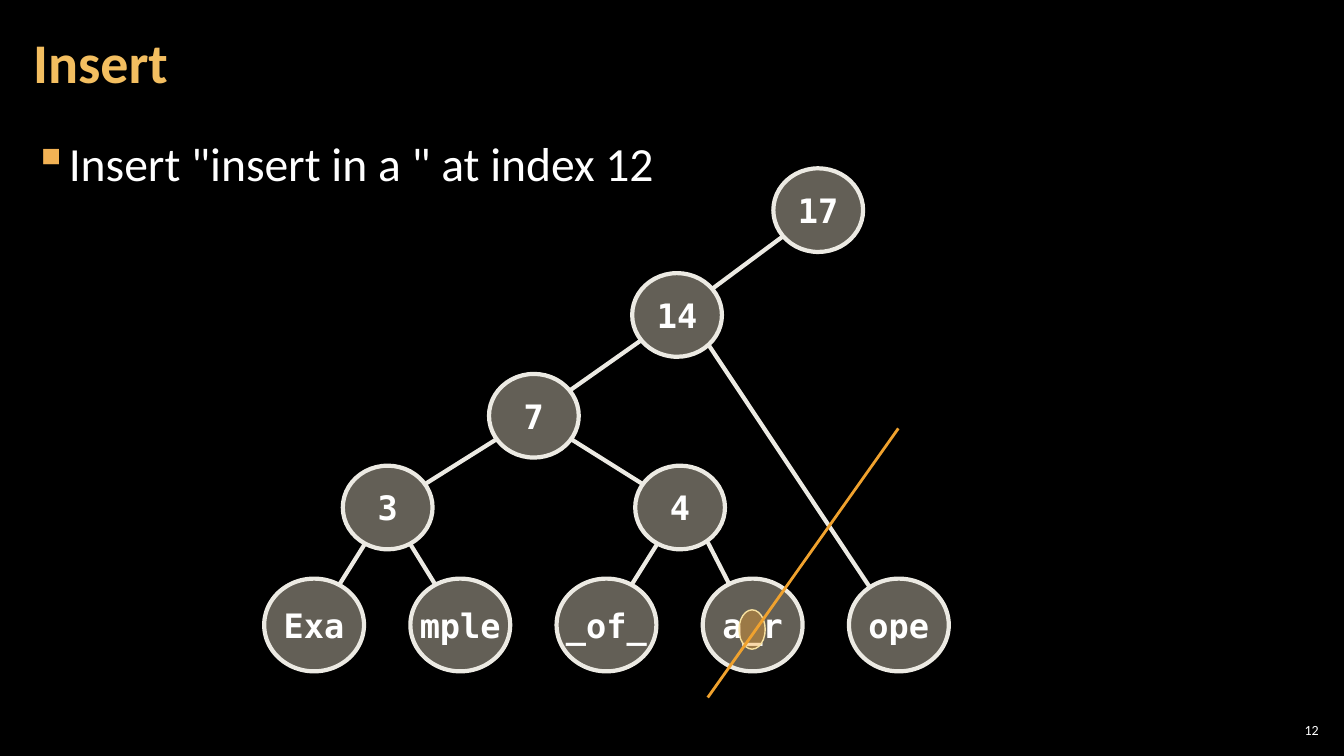
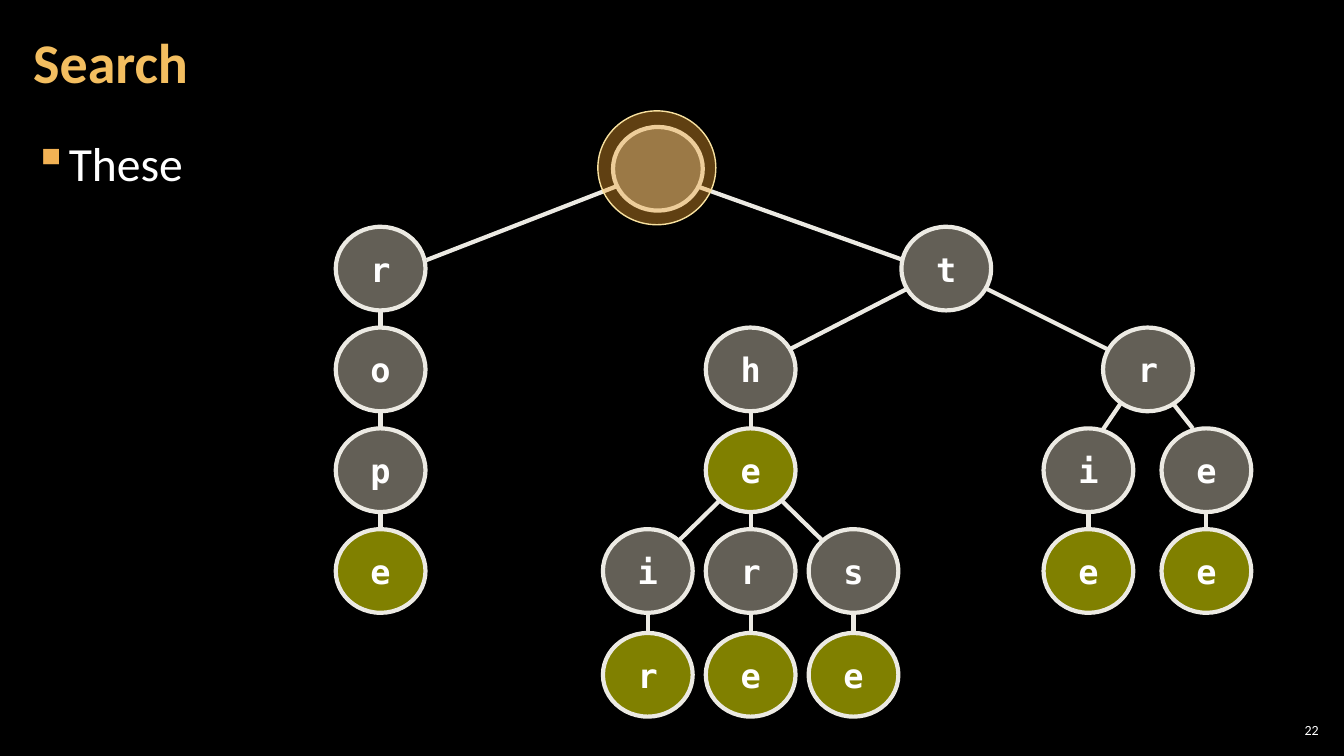
from math import hypot

from lxml.etree import SubElement
from pptx import Presentation
from pptx.dml.color import RGBColor
from pptx.enum.shapes import MSO_CONNECTOR as Connector, MSO_SHAPE as Shape
from pptx.enum.text import MSO_ANCHOR as Anchor, PP_ALIGN as Align
from pptx.oxml.ns import qn
from pptx.util import Inches, Pt

COLORS = {
    "background": "000000",
    "title": "F3BE60",
    "text": "FFFFFF",
    "bullet": "F2B254",
    "node": "C7BFAC",
    "word_end": "FFFF00",
    "edge": "ECEAE3",
    "marker": "F0A22E",
    "marker_line": "F8E19F",
}
SANS, MONO = "Calibri", "DejaVu Sans Mono"
NODE, LEAF = (0.89, 0.83), (0.99, 0.92)


def color(name):
    return RGBColor.from_string(COLORS[name])


def write(frame, text, *, size, font=SANS, fill="text", bold=False,
          align=Align.LEFT, anchor=Anchor.MIDDLE, wrap=True, spacing=None,
          insets=None):
    """Put one formatted paragraph in a text frame and return it."""
    frame.word_wrap = wrap
    frame.vertical_anchor = anchor
    if insets:
        side, edge = (Inches(inset) for inset in insets)
        frame.margin_left = frame.margin_right = side
        frame.margin_top = frame.margin_bottom = edge
    line = frame.paragraphs[0]
    line.alignment = align
    if spacing:
        line.line_spacing = spacing
    run = line.add_run()
    run.text = text
    run.font.size = Pt(size)
    run.font.name = font
    run.font.bold = bold
    run.font.color.rgb = color(fill)
    return line


def rim(node, toward):
    """Point where the line to another node leaves this node's outline."""
    (x, y), (rx, ry) = node
    dx, dy = toward[0][0] - x, toward[0][1] - y
    reach = 1 / hypot(dx / rx, dy / ry)
    return x + dx * reach, y + dy * reach


class Deck:
    def __init__(self):
        self.prs = Presentation()
        self.prs.slide_width, self.prs.slide_height = Inches(13.33), Inches(7.5)
        backdrop = self.prs.slide_master.background.fill
        backdrop.solid()
        backdrop.fore_color.rgb = color("background")
        self.slide = None

    def text_box(self, box, text, **style):
        frame = self.slide.shapes.add_textbox(*map(Inches, box)).text_frame
        return write(frame, text, **style)

    def add_slide(self, title, point, number):
        self.slide = self.prs.slides.add_slide(self.prs.slide_layouts[6])
        self.text_box((0.21, 0.04, 10.47, 1.21), title, size=40, bold=True,
                      fill="title", spacing=0.9, insets=(0.12, 0.04))
        self.bullet(point)
        self.text_box((12.65, 7.14, 0.47, 0.21), number, size=10,
                      align=Align.RIGHT, insets=(0.04, 0.04))

    def bullet(self, text):
        line = self.text_box((0.21, 1.26, 12.91, 6.09), text, size=34,
                             anchor=Anchor.TOP, spacing=1.05,
                             insets=(0.12, 0.04))
        line.space_before = line.space_after = Pt(6)
        props = line._p.get_or_add_pPr()
        props.set("marL", str(Inches(0.33)))
        props.set("indent", str(Inches(-0.33)))
        tint = SubElement(props, qn("a:buClr"))
        SubElement(tint, qn("a:srgbClr"), val=COLORS["bullet"])
        SubElement(props, qn("a:buChar"), char="▪")

    def ellipse(self, box, fill, opacity, line, width):
        oval = self.slide.shapes.add_shape(Shape.OVAL, *map(Inches, box))
        oval.shadow.inherit = False
        oval.fill.solid()
        oval.fill.fore_color.rgb = color(fill)
        tint = oval.element.spPr.find(qn("a:solidFill")).find(qn("a:srgbClr"))
        SubElement(tint, qn("a:alpha"), val=str(opacity * 1000))
        oval.line.color.rgb = color(line)
        oval.line.width = Pt(width)
        return oval

    def node(self, left, top, label, size=NODE, fill="node"):
        """Draw a tree node and return its centre and radii."""
        width, height = size
        oval = self.ellipse((left, top, width, height), fill, 50, "edge", 3)
        if label:
            write(oval.text_frame, label, size=24, font=MONO, bold=True,
                  align=Align.CENTER, wrap=False)
        return (left + width / 2, top + height / 2), (width / 2, height / 2)

    def marker(self, *box):
        self.ellipse(box, "marker", 40, "marker_line", 1)

    def line(self, start, end, stroke="edge", width=3):
        link = self.slide.shapes.add_connector(
            Connector.STRAIGHT, *map(Inches, (*start, *end)))
        link.line.color.rgb = color(stroke)
        link.line.width = Pt(width)
        SubElement(link.element.spPr, qn("a:effectLst"))

    def edges(self, nodes, pairs, fixed=()):
        """Join nodes rim to rim, then add edges with set end points."""
        for parent, child in pairs:
            upper, lower = nodes[parent], nodes[child]
            self.line(rim(upper, lower), rim(lower, upper))
        for start, end in fixed:
            self.line(start, end)


def insert_slide(deck):
    deck.add_slide("Insert", 'Insert "insert in a " at index 12', "12")

    # Rope tree: weights above, text pieces in the leaves
    weights = {"17": (7.67, 1.67), "14": (6.27, 2.71), "7": (4.85, 3.71),
               "3": (3.4, 4.62), "4": (6.3, 4.62)}
    nodes = {label: deck.node(*spot, label) for label, spot in weights.items()}
    for column, piece in enumerate(("Exa", "mple", "_of_", "a_r", "ope")):
        nodes[piece] = deck.node(2.62 + 1.45 * column, 5.74, piece, LEAF)
    deck.edges(nodes,
               [("17", "14"), ("14", "7"), ("7", "3"), ("7", "4"),
                ("3", "Exa"), ("3", "mple"), ("4", "_of_")],
               [((7.02, 5.38), (7.23, 5.79)), ((7.02, 3.41), (8.63, 5.83))])

    # Split position
    deck.marker(7.33, 6.05, 0.26, 0.39)
    deck.line((7.02, 6.92), (8.91, 4.25), "marker", 2)


def search_slide(deck):
    deck.add_slide("Search", "These", "22")

    # Trie: prefix -> left edge; depth sets the row, the last letter the label
    rows = (1.26, 2.25, 3.25, 4.25, 5.25, 6.28)
    lefts = {"": 6.08, "t": 8.94, "th": 7, "the": 7,
             "thei": 5.98, "ther": 7, "thes": 8.02,
             "these": 8.02, "there": 7, "their": 5.98,
             "tr": 10.94, "tri": 10.35, "trie": 10.35,
             "tre": 11.52, "tree": 11.52,
             "r": 3.33, "ro": 3.33, "rop": 3.33, "rope": 3.33}
    words = {"the", "these", "there", "their", "trie", "tree", "rope"}
    nodes = {prefix: deck.node(left, rows[len(prefix)], prefix[-1:],
                               fill="word_end" if prefix in words else "node")
             for prefix, left in lefts.items()}

    # Wide and steep branches have set ends
    branches = {"r": ((6.11, 1.85), (4.23, 2.58)),
                "t": ((6.92, 1.85), (8.96, 2.58)),
                "tri": ((11.11, 4.01), (10.94, 4.26)),
                "tre": ((11.64, 4.01), (11.83, 4.25))}
    deck.edges(nodes,
               [(prefix[:-1], prefix) for prefix in lefts
                if prefix and prefix not in branches],
               branches.values())

    # Current search position
    deck.marker(5.93, 1.1, 1.17, 1.13)


def main():
    deck = Deck()
    insert_slide(deck)
    search_slide(deck)
    deck.prs.save("out.pptx")


if __name__ == "__main__":
    main()
